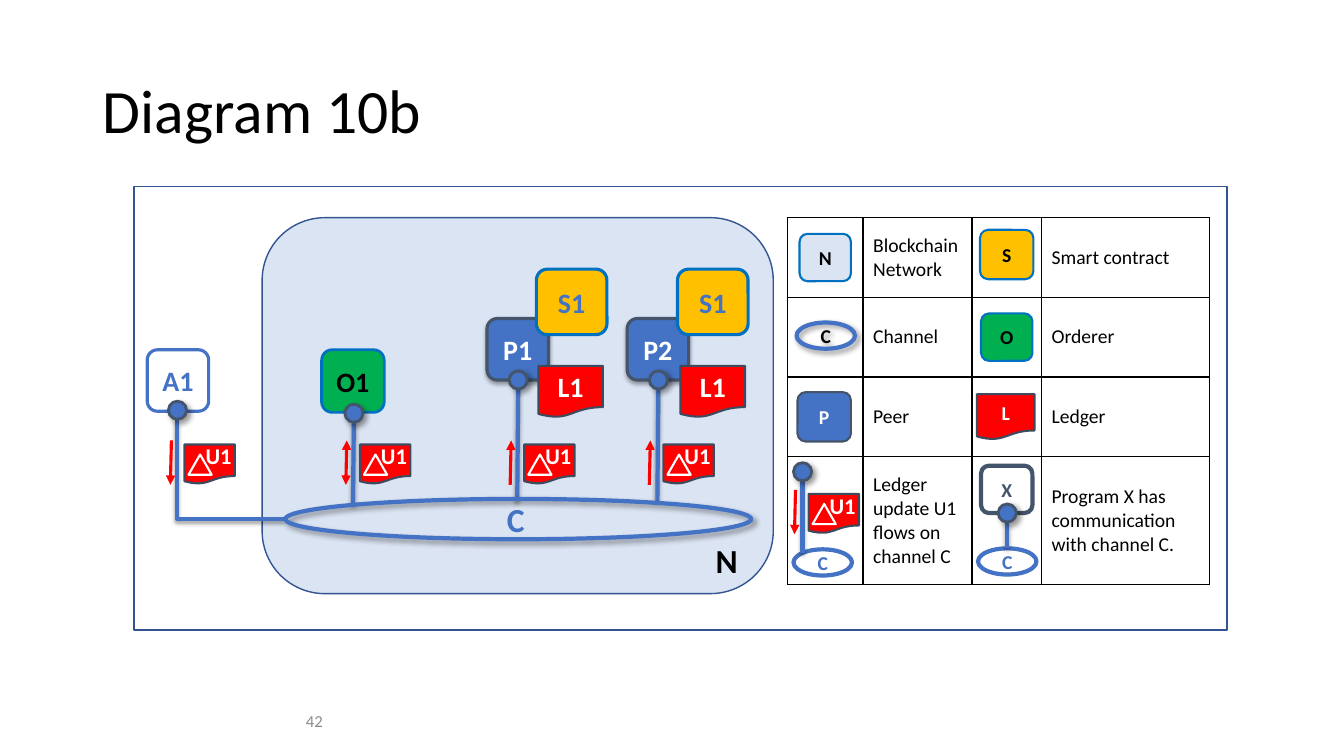
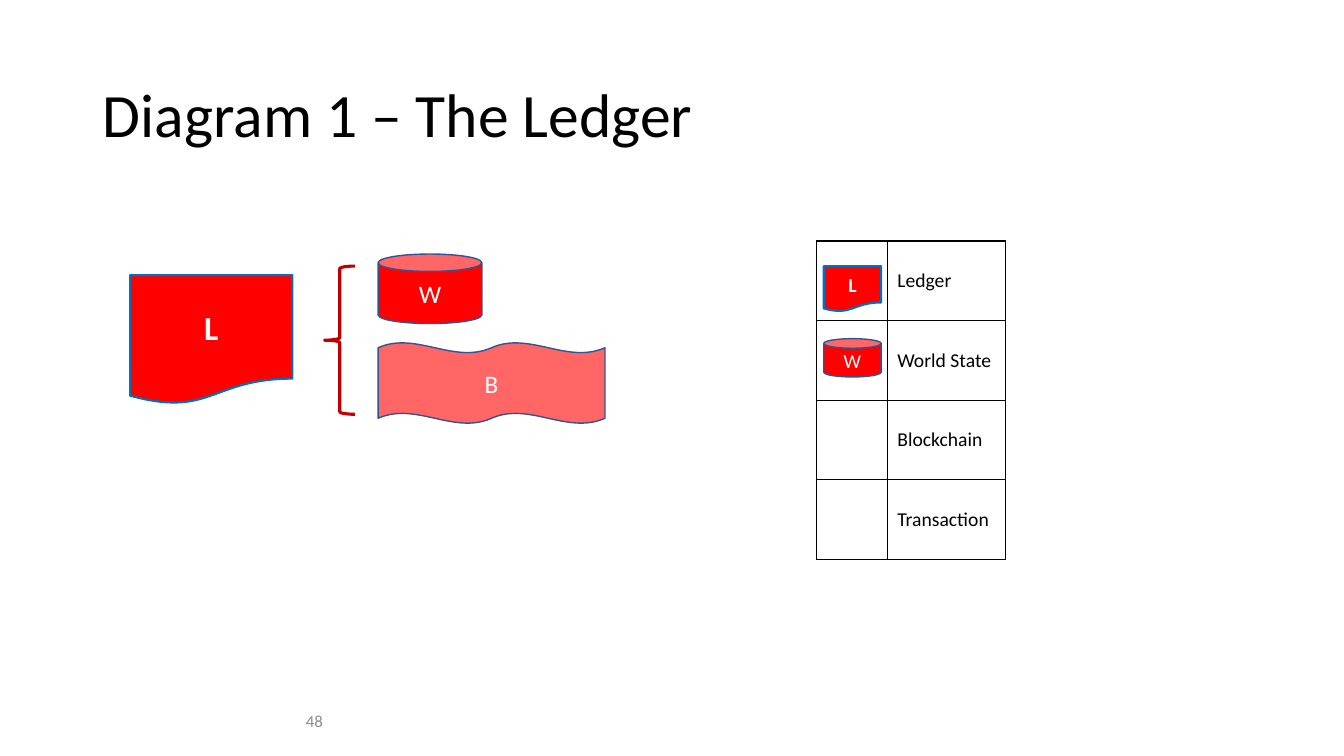
from lxml.etree import SubElement
from pptx import Presentation
from pptx.dml.color import RGBColor
from pptx.enum.shapes import MSO_CONNECTOR, MSO_SHAPE
from pptx.enum.text import MSO_ANCHOR, MSO_AUTO_SIZE, PP_ALIGN
from pptx.oxml.ns import qn
from pptx.util import Inches, Pt

COLORS = {
    "black": "000000", "white": "FFFFFF", "grey": "8C8C8C",
    "blue": "4472C4", "slate": "44546A", "navy": "325491",
    "azure": "0070C0", "pale": "DBE4F3", "green": "00B050",
    "amber": "FFC000", "red": "FF0000", "rose": "FF6665",
    "dark_red": "C00000", "ink": "3D4B5F",
}
FONT = "Calibri"

# Shadow: opacity %, blur pt, distance pt, direction in degrees
SOFT_SHADOW = (40, 4, 3, 45)
PEER_SHADOW = (35, 3.1, 1.8, 90)
LINE_SHADOW = (38, 3.1, 1.6, 90)

# Element kinds: preset, fill, line colour, line width, text colour
KINDS = {
    "frame": (MSO_SHAPE.RECTANGLE, None, "navy", 1, "black"),
    "network": (MSO_SHAPE.ROUNDED_RECTANGLE, "pale", "navy", 1, "black"),
    "network_key": (MSO_SHAPE.ROUNDED_RECTANGLE, "pale", "azure", 1.5, "black"),
    "application": (MSO_SHAPE.ROUNDED_RECTANGLE, None, "blue", 2.25, "blue"),
    "program": (MSO_SHAPE.ROUNDED_RECTANGLE, None, "slate", 3, "slate"),
    "peer": (MSO_SHAPE.ROUNDED_RECTANGLE, "blue", "slate", 2.25, "white"),
    "peer_key": (MSO_SHAPE.ROUNDED_RECTANGLE, "blue", "slate", 1.5, "white"),
    "contract": (MSO_SHAPE.ROUNDED_RECTANGLE, "amber", "azure", 2.25, "blue"),
    "contract_key": (MSO_SHAPE.ROUNDED_RECTANGLE, "amber", "azure", 1.5, "black"),
    "orderer": (MSO_SHAPE.ROUNDED_RECTANGLE, "green", "azure", 2, "black"),
    "orderer_key": (MSO_SHAPE.ROUNDED_RECTANGLE, "green", "azure", 1.5, "black"),
    "ledger": (MSO_SHAPE.FLOWCHART_DOCUMENT, "red", "ink", 1.5, "white"),
    "ledger_detail": (MSO_SHAPE.FLOWCHART_DOCUMENT, "red", "azure", 1.5, "white"),
    "delta": (MSO_SHAPE.ISOSCELES_TRIANGLE, "red", "white", 1.5, "white"),
    "channel": (MSO_SHAPE.OVAL, None, "blue", 3, "blue"),
    "channel_key": (MSO_SHAPE.OVAL, None, "blue", 3, "black"),
    "knob": (MSO_SHAPE.OVAL, "blue", "slate", 2, "white"),
    "world_state": (MSO_SHAPE.CAN, "red", "navy", 1, "white"),
    "blockchain": (MSO_SHAPE.DOUBLE_WAVE, "rose", "navy", 1, "white"),
    "brace": (MSO_SHAPE.LEFT_BRACE, None, "dark_red", 2.25, "black"),
}
KNOB_SIZE = 0.18


def rgb(name):
    return RGBColor.from_string(COLORS[name])


def format_text(paragraph, text, size, color="black", bold=False, align=PP_ALIGN.LEFT):
    paragraph.text = text
    paragraph.alignment = align
    values = {"name": FONT, "size": Pt(size), "bold": bold}
    for attribute, value in values.items():
        setattr(paragraph.font, attribute, value)
    paragraph.font.color.rgb = rgb(color)


def set_shadow(properties, shadow):
    """Give the shape properties an explicit effect list, empty or with a shadow."""
    effects = properties.find(qn("a:effectLst"))
    if effects is None:
        effects = SubElement(properties, qn("a:effectLst"))
    if shadow:
        opacity, blur, distance, direction = shadow
        outer = SubElement(effects, qn("a:outerShdw"), blurRad=str(Pt(blur)),
                           dist=str(Pt(distance)), dir=str(direction * 60000),
                           algn="tl", rotWithShape="0")
        color = SubElement(outer, qn("a:srgbClr"), val=COLORS["black"])
        SubElement(color, qn("a:alpha"), val=str(opacity * 1000))


def add_element(slide, kind, left, top, width, height,
                text="", size=14, bold=True, shadow=None):
    preset, fill, line, weight, text_color = KINDS[kind]
    shape = slide.shapes.add_shape(
        preset, Inches(left), Inches(top), Inches(width), Inches(height))
    if fill:
        shape.fill.solid()
        shape.fill.fore_color.rgb = rgb(fill)
    else:
        shape.fill.background()
    shape.line.color.rgb = rgb(line)
    shape.line.width = Pt(weight)
    shape.shadow.inherit = False
    set_shadow(shape._element.spPr, shadow)
    if text:
        frame = shape.text_frame
        frame.vertical_anchor = MSO_ANCHOR.MIDDLE
        format_text(frame.paragraphs[0], text, size, text_color, bold, PP_ALIGN.CENTER)
    return shape


def add_label(slide, left, top, width, height, text, size, color,
              bold=True, align=PP_ALIGN.LEFT, anchor=MSO_ANCHOR.TOP):
    box = slide.shapes.add_textbox(
        Inches(left), Inches(top), Inches(width), Inches(height))
    box.text_frame.word_wrap = True
    box.text_frame.vertical_anchor = anchor
    format_text(box.text_frame.paragraphs[0], text, size, color, bold, align)


def add_line(slide, start, end, color="blue", weight=3, shadow=LINE_SHADOW,
             arrowheads=(), preset=None):
    connector = slide.shapes.add_connector(
        MSO_CONNECTOR.STRAIGHT, *(Inches(value) for value in (*start, *end)))
    connector.line.color.rgb = rgb(color)
    connector.line.width = Pt(weight)
    properties = connector._element.spPr
    if preset:
        properties.find(qn("a:prstGeom")).set("prst", preset)
    for arrowhead in arrowheads:
        SubElement(properties.find(qn("a:ln")), qn(f"a:{arrowhead}"), type="triangle")
    set_shadow(properties, shadow)


def add_knob(slide, center, top):
    add_element(slide, "knob", center - KNOB_SIZE / 2, top, KNOB_SIZE, KNOB_SIZE,
                shadow=SOFT_SHADOW)


def add_update(slide, left, top, arrowheads):
    """Ledger update badge with its direction arrow on the left."""
    add_element(slide, "ledger", left, top, 0.5, 0.39)
    delta = add_element(slide, "delta", left + 0.04, top + 0.1, 0.23, 0.2)
    color = delta._element.spPr.find(qn("a:solidFill")).find(qn("a:srgbClr"))
    SubElement(color, qn("a:alpha"), val="56000")
    add_line(slide, (left - 0.13, top - 0.04), (left - 0.14, top + 0.4),
             "red", 2.25, None, arrowheads)
    add_label(slide, left + 0.11, top - 0.07, 0.48, 0.37, "U1", 16, "white")


def add_peer(slide, left, name, contract_left, ledger_left):
    """Peer on the channel, holding a ledger and a smart contract."""
    center = left + 0.31
    add_element(slide, "peer", left, 3.16, 0.61, 0.61, name, 20, shadow=PEER_SHADOW)
    add_line(slide, (center, 3.85), (center - 0.01, 4.97))
    add_element(slide, "ledger", ledger_left, 3.63, 0.64, 0.51, "L1", 20)
    add_element(slide, "contract", contract_left, 2.67, 0.7, 0.65, "S1", 20)
    add_knob(slide, center, 3.68)


def add_key_table(slide, left, top, widths, heights, rows):
    """Legend grid with thin black borders and no fill."""
    table = slide.shapes.add_table(
        len(rows), len(widths), Inches(left), Inches(top),
        Inches(sum(widths)), Inches(sum(heights))).table
    table.first_row = table.horz_banding = False
    for column, width in zip(table.columns, widths):
        column.width = Inches(width)
    for row, height, texts in zip(table.rows, heights, rows):
        row.height = Inches(height)
        for cell, text in zip(row.cells, texts):
            cell.vertical_anchor = MSO_ANCHOR.MIDDLE
            format_text(cell.text_frame.paragraphs[0], text, 14)
            properties = cell._tc.get_or_add_tcPr()
            for side in ("lnL", "lnR", "lnT", "lnB"):
                border = SubElement(properties, qn(f"a:{side}"), w=str(Pt(1)))
                fill = SubElement(border, qn("a:solidFill"))
                SubElement(fill, qn("a:srgbClr"), val=COLORS["black"])
            cell.fill.background()


def add_titled_slide(presentation, title, number, title_top):
    slide = presentation.slides.add_slide(presentation.slide_layouts[5])
    shape = slide.shapes.title
    place = {"left": 0.92, "top": title_top, "width": 11.5, "height": 1.45}
    for attribute, value in place.items():
        setattr(shape, attribute, Inches(value))
    frame = shape.text_frame
    frame.vertical_anchor = MSO_ANCHOR.MIDDLE
    frame.auto_size = MSO_AUTO_SIZE.NONE
    format_text(frame.paragraphs[0], title, 44)
    frame.paragraphs[0].line_spacing = 0.9
    add_label(slide, 0.3, 6.95, 3, 0.4, number, 12, "grey", False,
              PP_ALIGN.RIGHT, MSO_ANCHOR.MIDDLE)
    return slide


def add_network_key(slide):
    add_key_table(slide, 7.81, 2.16, (0.75, 1.08, 0.69, 1.67), (0.79, 0.79, 0.79, 1.27), (
        ("", "Blockchain Network", "", "Smart contract"),
        ("", "Channel", "", "Orderer"),
        ("", "Peer", "", "Ledger"),
        ("", "Ledger update U1 flows on channel C", "",
         "Program X has communication with channel C."),
    ))
    for kind, left, top, width, height, text in (
        ("network_key", 7.93, 2.32, 0.51, 0.47, "N"),
        ("contract_key", 9.72, 2.28, 0.53, 0.49, "S"),
        ("orderer_key", 9.73, 3.11, 0.51, 0.47, "O"),
        ("peer_key", 7.91, 3.89, 0.53, 0.49, "P"),
        ("ledger", 9.69, 3.91, 0.57, 0.45, "L"),
        ("program", 9.73, 4.62, 0.51, 0.47, "X"),
        ("channel", 9.7, 5.44, 0.58, 0.26, "C"),
        ("channel", 7.87, 5.45, 0.58, 0.26, "C"),
    ):
        add_element(slide, kind, left, top, width, height, text)
    add_element(slide, "channel_key", 7.9, 3.2, 0.58, 0.26, "C", shadow=SOFT_SHADOW)
    add_line(slide, (9.99, 5.18), (9.99, 5.44))
    add_knob(slide, 9.99, 5)
    add_line(slide, (7.96, 4.77), (7.96, 5.49))
    add_knob(slide, 7.96, 4.59)
    add_update(slide, 8.02, 4.9, ["tailEnd"])


def build_network_slide(presentation):
    slide = add_titled_slide(presentation, "Diagram 10b", "42", 0.4)
    add_element(slide, "network", 2.6, 2.16, 5.07, 3.73)
    add_label(slide, 7, 5.31, 0.58, 0.5, "N", 24, "black")
    add_network_key(slide)

    # Application, orderer and peers
    add_element(slide, "application", 1.46, 3.47, 0.61, 0.61, "A1", 20)
    add_line(slide, (2.83, 5.15), (1.76, 4.16), preset="bentConnector2")
    add_knob(slide, 1.76, 3.98)
    add_element(slide, "orderer", 3.19, 3.47, 0.62, 0.62, "O1", 20)
    add_line(slide, (3.51, 4.18), (3.5, 5.01))
    add_knob(slide, 3.51, 4.01)
    add_peer(slide, 4.83, "P1", 5.32, 5.34)
    add_peer(slide, 6.22, "P2", 6.72, 6.75)

    # Channel and the updates that flow on it
    add_element(slide, "channel", 2.83, 4.95, 4.62, 0.4, shadow=SOFT_SHADOW)
    add_label(slide, 4.93, 4.9, 0.4, 0.5, "C", 24, "blue")
    for left, arrowheads in (
        (1.83, ["tailEnd"]),
        (3.57, ["headEnd", "tailEnd"]),
        (5.2, ["headEnd"]),
        (6.58, ["headEnd"]),
    ):
        add_update(slide, left, 4.41, arrowheads)
    add_element(slide, "frame", 1.33, 1.85, 10.84, 4.4)


def build_ledger_slide(presentation):
    slide = add_titled_slide(presentation, "Diagram 1 – The Ledger", "48", 0.44)
    names = ("Ledger", "World State", "Blockchain", "Transaction")
    add_key_table(slide, 8.1, 2.39, (0.7, 1.17), [0.79] * len(names),
                  [("", name) for name in names])
    add_element(slide, "ledger_detail", 8.17, 2.64, 0.57, 0.45, "L")
    add_element(slide, "world_state", 8.17, 3.36, 0.57, 0.38, "W", bold=False)

    # The ledger and its two parts
    add_element(slide, "ledger_detail", 1.29, 2.73, 1.61, 1.28, "L", 24)
    add_element(slide, "brace", 3.22, 2.64, 0.3, 1.47)
    add_element(slide, "world_state", 3.75, 2.52, 1.03, 0.69, "W", 18, bold=False)
    add_element(slide, "blockchain", 3.75, 3.4, 2.25, 0.8, "B", 18, bold=False)


def main():
    presentation = Presentation()
    presentation.slide_width = Inches(13.33)
    presentation.slide_height = Inches(7.5)
    build_network_slide(presentation)
    build_ledger_slide(presentation)
    presentation.save("out.pptx")


if __name__ == "__main__":
    main()
